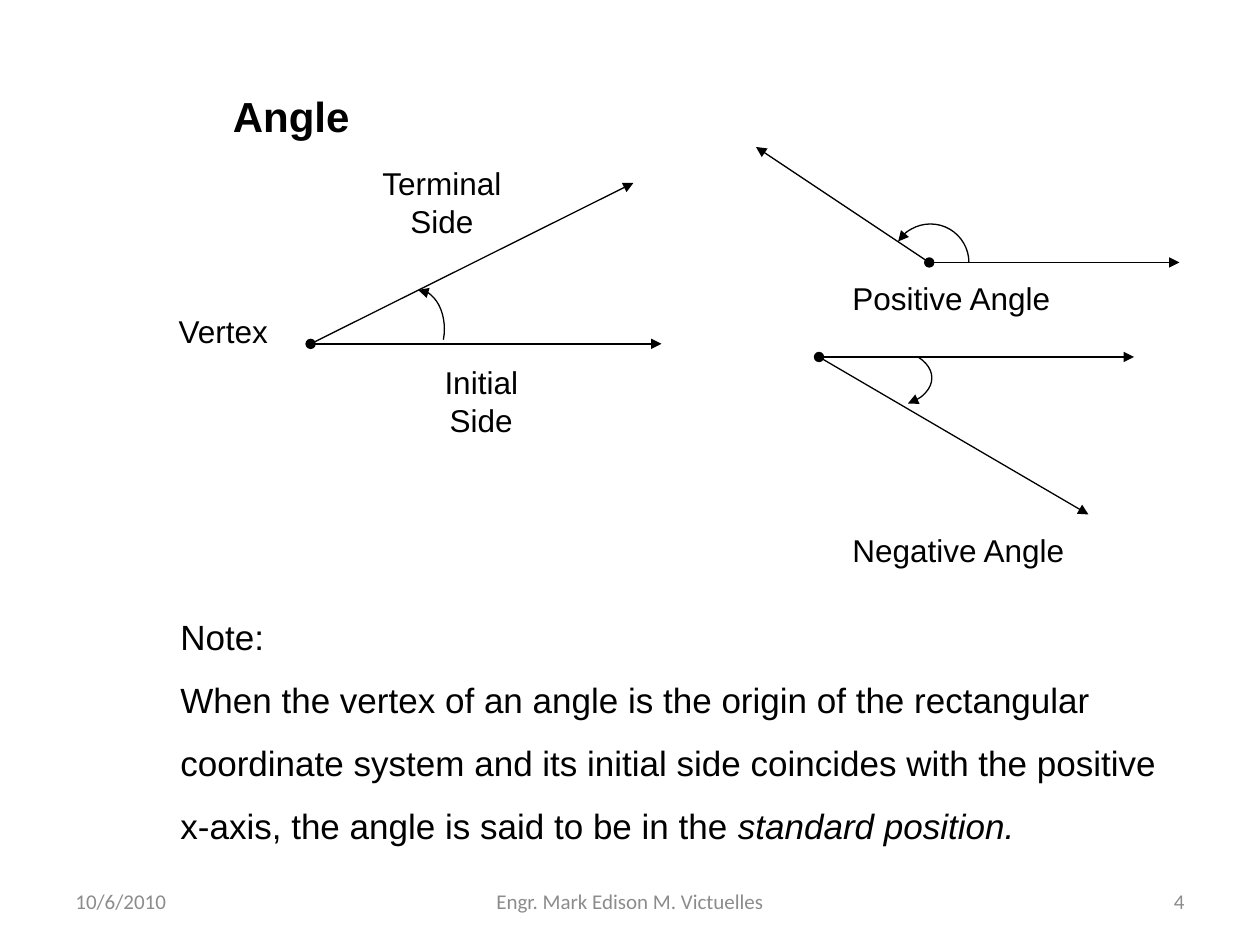
import pptx
import pptx.dml.color
import pptx.enum.shapes
import pptx.enum.text
import pptx.oxml.ns
import pptx.util
from lxml import etree

Pt = pptx.util.Pt
ALIGN = pptx.enum.text.PP_ALIGN
ANCHOR = pptx.enum.text.MSO_ANCHOR
BLACK, GREY = "000000", "8C8C8C"

TITLE = ("Angle", (126, 48, 414, 36))
# text, box, wraps, alignment
LABELS = [
    ("Terminal\vSide", (203, 90, 99, 60), True, ALIGN.CENTER),
    ("Initial\vSide", (225.5, 204, 99, 60), True, ALIGN.CENTER),
    ("Vertex", (78, 175, 99, 34.5), True, ALIGN.CENTER),
    ("Positive Angle", (480, 156, 134, 29), False, ALIGN.LEFT),
    ("Negative Angle", (480, 300, 142, 29), False, ALIGN.LEFT),
]
NOTE_BOX = (96, 336, 582, 148)
NOTE = [
    [("Note:", False)],
    [("When the vertex of an angle is the origin of the rectangular "
      "coordinate system and its initial side coincides with the positive "
      "x-axis, the angle is said to be in the ", False),
     ("standard position.", True)],
]
FOOTER = [
    ("10/6/2010", (36, 500.5, 168, 28.5), ALIGN.LEFT),
    ("Engr. Mark Edison M. Victuelles", (246, 500.5, 228, 28.5), ALIGN.CENTER),
    ("4", (516, 500.5, 168, 28.5), ALIGN.RIGHT),
]
# Arc: centre, radii, clockwise start and end in degrees, arrow end
ANGLES = [
    {"vertex": (177.5, 196.5), "initial": (378, 196.5), "terminal": (362, 104.5),
     "arc": ((239, 188), (15, 22.3), (270, 23), "headEnd")},
    {"vertex": (531, 150), "initial": (674, 150), "terminal": (432, 84),
     "arc": ((531.7, 150), (22, 22), (213, 0), "headEnd")},
    {"vertex": (468, 204), "initial": (648, 204), "terminal": (622, 294),
     "arc": ((507, 216), (25.5, 16.5), (326, 51), "tailEnd")},
]


def rgb(value):
    return pptx.dml.color.RGBColor.from_string(value)


def set_font(paragraph, size, name="Arial", color=BLACK):
    paragraph.font.size = Pt(size)
    paragraph.font.name = name
    paragraph.font.color.rgb = rgb(color)


def add_box(slide, box, wrap=True):
    frame = slide.shapes.add_textbox(*map(Pt, box)).text_frame
    frame.word_wrap = wrap
    return frame


def add_text(slide, text, box, size, wrap=True, align=ALIGN.LEFT, **font):
    frame = add_box(slide, box, wrap)
    frame.text = text
    paragraph = frame.paragraphs[0]
    paragraph.alignment = align
    set_font(paragraph, size, **font)
    return frame


def style_line(shape, **ends):
    shape.line.width = Pt(0.75)
    shape.line.color.rgb = rgb(BLACK)
    line = shape.line._get_or_add_ln()
    for tag in ("headEnd", "tailEnd"):
        if tag in ends:
            etree.SubElement(line, pptx.oxml.ns.qn("a:" + tag), type=ends[tag])


def add_side(slide, start, end, **ends):
    side = slide.shapes.add_connector(
        pptx.enum.shapes.MSO_CONNECTOR.STRAIGHT, *map(Pt, start + end))
    style_line(side, **ends)
    etree.SubElement(side._element.spPr, pptx.oxml.ns.qn("a:effectLst"))


def add_arc(slide, centre, radii, degrees, arrow_end):
    (x, y), (rx, ry) = centre, radii
    arc = slide.shapes.add_shape(
        pptx.enum.shapes.MSO_SHAPE.ARC,
        *map(Pt, (x - rx, y - ry, 2 * rx, 2 * ry)))
    for index, degree in enumerate(degrees):
        arc.adjustments[index] = degree * 0.6  # 60000 units per degree / 100000
    arc.fill.background()
    arc.shadow.inherit = False
    style_line(arc, **{arrow_end: "triangle"})


def add_note(slide):
    frame = add_box(slide, NOTE_BOX)
    for index, parts in enumerate(NOTE):
        paragraph = frame.add_paragraph() if index else frame.paragraphs[0]
        paragraph.line_spacing = 1.5
        set_font(paragraph, 20)
        for text, italic in parts:
            run = paragraph.add_run()
            run.text = text
            if italic:
                run.font.italic = True


def main():
    deck = pptx.Presentation()
    deck.slide_width, deck.slide_height = Pt(720), Pt(540)
    slide = deck.slides.add_slide(deck.slide_layouts[6])

    title = add_text(slide, *TITLE, 24)
    title.paragraphs[0].font.bold = True
    for angle in ANGLES:
        add_side(slide, angle["vertex"], angle["initial"],
                 headEnd="oval", tailEnd="triangle")
        add_side(slide, angle["vertex"], angle["terminal"], tailEnd="triangle")
        add_arc(slide, *angle["arc"])
    for text, box, wrap, align in LABELS:
        add_text(slide, text, box, 18, wrap, align)
    add_note(slide)
    for text, box, align in FOOTER:
        frame = add_text(slide, text, box, 12, align=align,
                         name="Calibri", color=GREY)
        frame.vertical_anchor = ANCHOR.MIDDLE
    deck.save("out.pptx")


if __name__ == "__main__":
    main()
